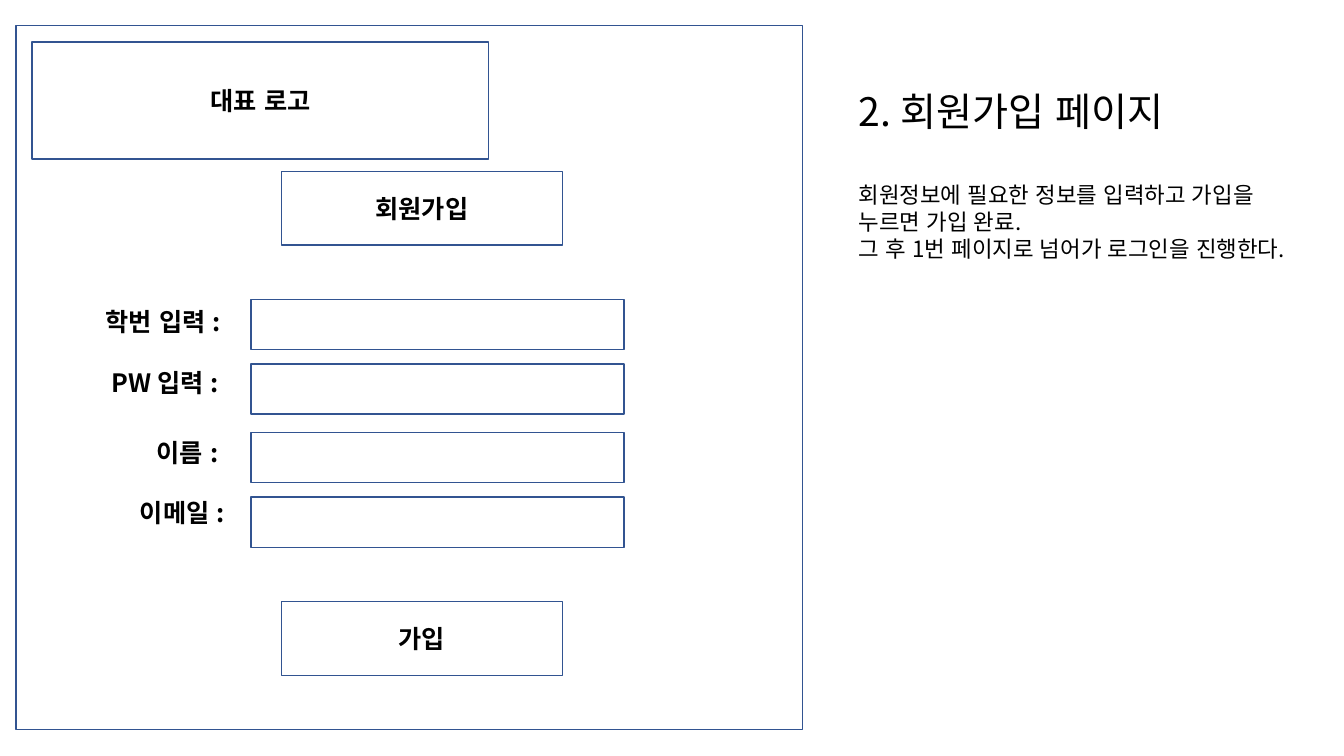
from lxml.etree import SubElement
from pptx import Presentation
from pptx.dml.color import RGBColor
from pptx.enum.lang import MSO_LANGUAGE_ID
from pptx.enum.shapes import MSO_SHAPE
from pptx.enum.text import MSO_ANCHOR, MSO_AUTO_SIZE, PP_ALIGN
from pptx.oxml.ns import qn
from pptx.util import Pt

FACE = "Noto Sans CJK KR"
HUES = {"line": "325491", "text": "000000"}

TITLE = "2. 회원가입 페이지"
NOTES = [
    "회원정보에 필요한 정보를 입력하고 가입을 누르면 가입 완료.",
    "그 후 1번 페이지로 넘어가 로그인을 진행한다.",
]
PANELS = [
    ("", (11.5, 18, 561.6, 503.3)),
    ("대표 로고", (23, 30, 326.2, 83.5)),
    ("회원가입", (200.9, 122.4, 200.9, 52.6)),
    ("가입", (200.9, 429.8, 200.9, 52.6)),
]
FIELDS = [
    ("학번 입력 :", 75.5, 229.7, 213.8),
    ("PW 입력 :", 80, 273.3, 259.9),
    ("이름 :", 112, 323.3, 308.9),
    ("이메일 :", 100, 366.1, 355),
]
FIELD_X, FIELD_W, FIELD_H = 179.3, 266.4, 36
LABEL_W, LABEL_H = 100, 30
TITLE_BOX = (606.2, 58.3, 342, 44)
NOTES_BOX = (606.2, 125.6, 332, 68)

BOLD = {"size": Pt(18), "bold": True}
HEAD = {"size": Pt(28), "bold": False}
BODY = {"size": Pt(16), "bold": False}
PLAIN = {"word_wrap": True, "auto_size": MSO_AUTO_SIZE.NONE}
FLUSH = {"margin_left": 0, "margin_right": 0, "margin_top": 0, "margin_bottom": 0}
INSET = {"margin_left": Pt(7.2), "margin_right": Pt(7.2),
         "margin_top": Pt(3.6), "margin_bottom": Pt(3.6)}


def apply(item, values):
    for key, value in values.items():
        setattr(item, key, value)


def write(shape, lines, font, frame, para):
    text = shape.text_frame
    apply(text, {**PLAIN, **frame})
    for i, line in enumerate(lines):
        par = text.paragraphs[0] if i == 0 else text.add_paragraph()
        apply(par, para)
        run = par.add_run()
        run.text = line
        apply(run.font, {**font, "name": FACE, "language_id": MSO_LANGUAGE_ID.KOREAN})
        run.font.color.rgb = RGBColor.from_string(HUES["text"])
        SubElement(run.font._element, qn("a:ea")).set("typeface", FACE)


def place(shape, box):
    apply(shape, dict(zip(("left", "top", "width", "height"), map(Pt, box))))


def draw(slide, box, label=""):
    rect = slide.shapes.add_shape(MSO_SHAPE.RECTANGLE, *map(Pt, box))
    rect.shadow.inherit = False
    rect.fill.background()
    rect.line.color.rgb = RGBColor.from_string(HUES["line"])
    rect.line.width = Pt(1)
    if label:
        write(rect, [label], BOLD, {"vertical_anchor": MSO_ANCHOR.MIDDLE},
              {"alignment": PP_ALIGN.CENTER})


def main():
    deck = Presentation()
    apply(deck, {"slide_width": Pt(960), "slide_height": Pt(540)})
    slide = deck.slides.add_slide(deck.slide_layouts[1])

    for label, box in PANELS:
        draw(slide, box, label)
    for label, left, mid, top in FIELDS:
        draw(slide, (FIELD_X, top, FIELD_W, FIELD_H))
        area = (left, mid - LABEL_H / 2, LABEL_W, LABEL_H)
        note = slide.shapes.add_textbox(*map(Pt, area))
        write(note, [label], BOLD, {**FLUSH, "vertical_anchor": MSO_ANCHOR.MIDDLE},
              {"alignment": PP_ALIGN.LEFT})

    title, body = slide.placeholders
    for shape, box, lines, font, pitch in [
        (title, TITLE_BOX, [TITLE], HEAD, 34),
        (body, NOTES_BOX, NOTES, BODY, 19.3),
    ]:
        place(shape, box)
        write(shape, lines, font, {**INSET, "vertical_anchor": MSO_ANCHOR.TOP},
              {"alignment": PP_ALIGN.LEFT, "line_spacing": Pt(pitch),
               "space_before": Pt(0), "space_after": Pt(0)})
    for par in body.text_frame.paragraphs:
        props = par._p.get_or_add_pPr()
        props.set("marL", "0")
        props.set("indent", "0")
        SubElement(props, qn("a:buNone"))

    deck.save("out.pptx")


if __name__ == "__main__":
    main()
